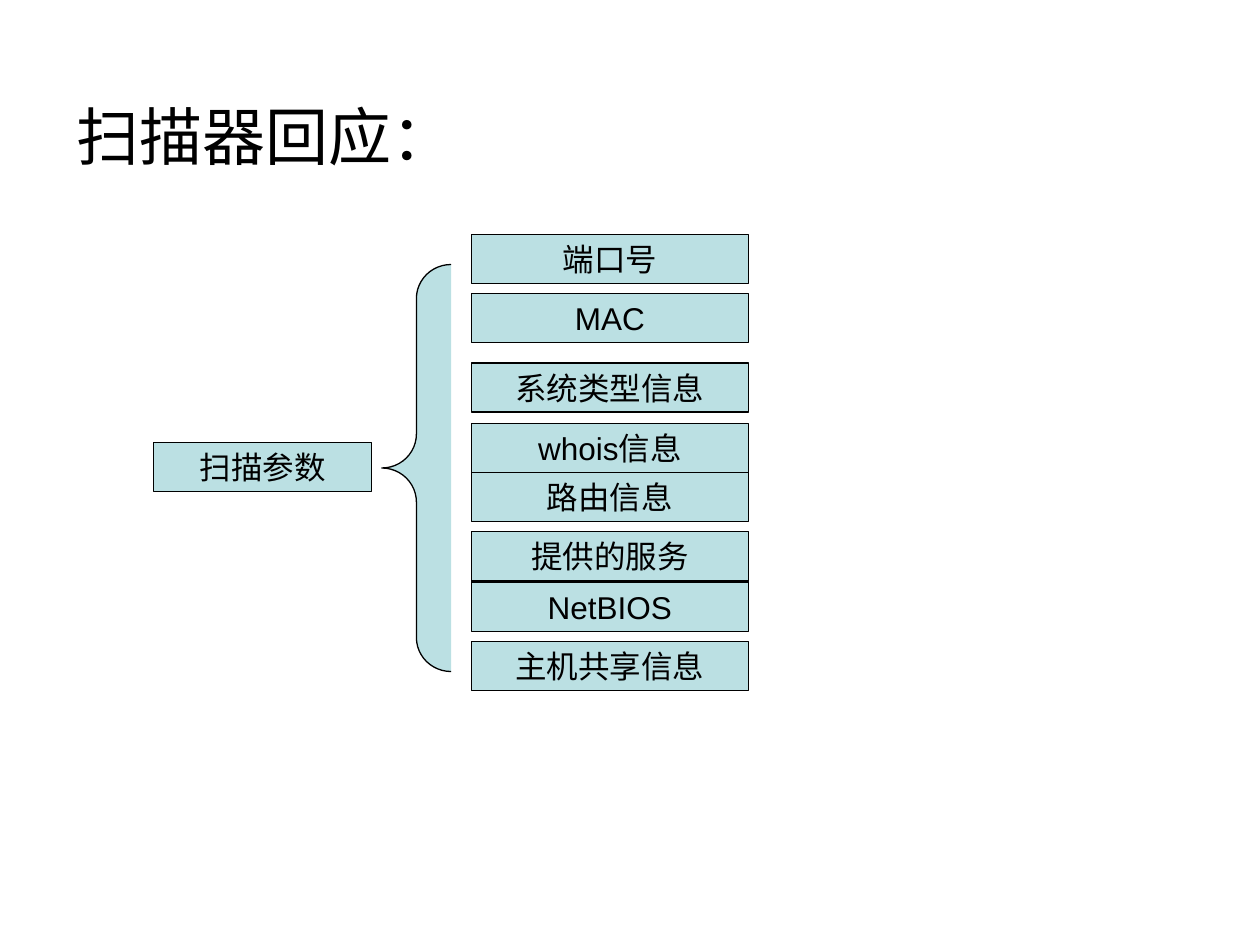
from dataclasses import dataclass

from pptx import Presentation
from pptx.dml.color import RGBColor as Rgb
from pptx.enum.shapes import MSO_SHAPE as Kind
from pptx.enum.text import MSO_ANCHOR as Anchor, PP_ALIGN as Align
from pptx.shapes.autoshape import Shape
from pptx.slide import Slide
from pptx.util import Inches, Pt

HUES = {"fill": "BBE0E3", "ink": "000000"}
FONT = "Arial"
HIGH = 0.39  # height of every box


@dataclass
class Box:
    text: str
    left: float
    top: float
    width: float


ITEMS = [
    ("端口号", 1.86),
    ("MAC", 2.33),
    ("系统类型信息", 2.88),
    ("whois信息", 3.36),
    ("路由信息", 3.75),
    ("提供的服务", 4.22),
    ("NetBIOS", 4.62),
    ("主机共享信息", 5.09),
]
BOXES = [Box("扫描参数", 1.22, 3.51, 1.73)]
BOXES += [Box(text, 3.74, top, 2.2) for text, top in ITEMS]


def paint(shape: Shape) -> None:
    """Give a shape the pale fill and thin dark outline."""
    shape.shadow.inherit = False
    shape.fill.solid()
    shape.fill.fore_color.rgb = Rgb.from_string(HUES["fill"])
    shape.line.color.rgb = Rgb.from_string(HUES["ink"])
    shape.line.width = Pt(0.75)


def write(shape: Shape, text: str, size: int, align: Align, wrap: bool) -> None:
    frame = shape.text_frame
    frame.word_wrap = wrap
    frame.vertical_anchor = Anchor.MIDDLE
    para = frame.paragraphs[0]
    para.alignment = align
    run = para.add_run()
    run.text = text
    run.font.name = FONT
    run.font.size = Pt(size)
    run.font.color.rgb = Rgb.from_string(HUES["ink"])


def add_title(slide: Slide, text: str) -> None:
    title = slide.shapes.add_textbox(
        Inches(0.51), Inches(0.68), Inches(9), Inches(0.79))
    write(title, text, 36, Align.LEFT, True)


def add_brace(slide: Slide) -> None:
    brace = slide.shapes.add_shape(
        Kind.LEFT_BRACE, Inches(3.03), Inches(2.1), Inches(0.55), Inches(3.23))
    brace.adjustments[0] = 0.49
    paint(brace)


def add_box(slide: Slide, box: Box) -> None:
    shape = slide.shapes.add_shape(
        Kind.FLOWCHART_PROCESS, Inches(box.left), Inches(box.top),
        Inches(box.width), Inches(HIGH))
    paint(shape)
    write(shape, box.text, 18, Align.CENTER, False)


def main() -> None:
    deck = Presentation()
    deck.slide_width, deck.slide_height = Inches(10), Inches(7.5)
    slide = deck.slides.add_slide(deck.slide_layouts[6])
    add_title(slide, "扫描器回应：")
    add_brace(slide)
    for box in BOXES:
        add_box(slide, box)
    deck.save("out.pptx")


if __name__ == "__main__":
    main()
